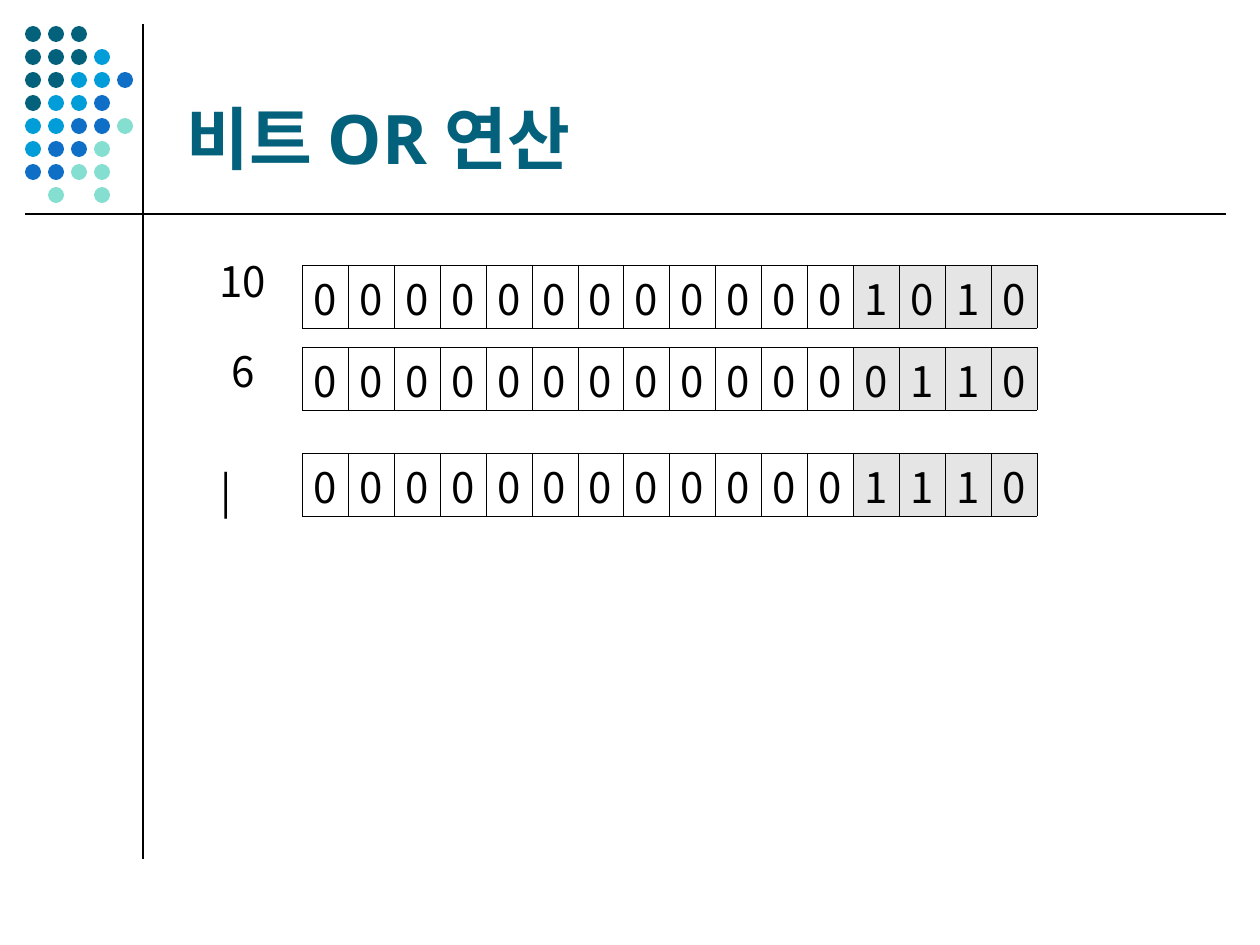
from dataclasses import dataclass

from lxml import etree
from pptx import Presentation
from pptx import util as u
from pptx.dml.color import RGBColor
from pptx.enum import shapes, text
from pptx.oxml import ns

PX_PER_INCH = 126
TEAL = RGBColor(0x04, 0x61, 0x7B)
SKY = RGBColor(0x00, 0x9D, 0xD9)
BLUE = RGBColor(0x0F, 0x6F, 0xC6)
MINT = RGBColor(0x85, 0xDF, 0xD0)
BLACK = RGBColor(0, 0, 0)
GRAY = RGBColor(0xE5, 0xE5, 0xE5)
LATIN_FONT = "Noto Sans"
KOREAN_FONT = "Noto Sans CJK KR"
DOT_COLORS = {"T": TEAL, "S": SKY, "B": BLUE, "M": MINT}
DOT_ROWS = ("TTT", "TTTS", "TTSSB", "TSSB", "SSBBM", "SBBM", "BBMM", " M M")
DOT_LEFT, DOT_TOP, DOT_PITCH, DOT_SIZE = 25, 26, 23, 16
TABLE_LEFT, TABLE_WIDTH, ROW_HEIGHT = 302, 735, 63
SHADED_BITS = 4


@dataclass(frozen=True)
class BitRow:
    label: str
    label_left: int
    label_top: int
    table_top: int
    bits: str


BIT_ROWS = (
    BitRow("10", 207, 249, 265, "0000000000001010"),
    BitRow("6", 219, 339, 347, "0000000000000110"),
    BitRow("|", 208, 459, 453, "0000000000001110"),
)


def px(length: int) -> int:
    return length * u.Inches(1) // PX_PER_INCH


def write_text(frame, words: str, *, size: int = 24, color: RGBColor = BLACK,
               font: str = KOREAN_FONT, bold: bool = False,
               align=text.PP_ALIGN.LEFT) -> None:
    para = frame.paragraphs[0]
    para.alignment = align
    span = para.add_run()
    span.text = words
    span.font.name = font
    span.font.size = u.Pt(size)
    span.font.bold = bold
    span.font.color.rgb = color
    east_asian = etree.SubElement(span.font._element, ns.qn("a:ea"))
    east_asian.set("typeface", KOREAN_FONT)


def draw_line(page, left: int, top: int, right: int, bottom: int) -> None:
    line = page.shapes.add_connector(
        shapes.MSO_CONNECTOR.STRAIGHT, px(left), px(top), px(right), px(bottom))
    line.line.color.rgb = BLACK
    line.line.width = u.Pt(0.75)
    etree.SubElement(line._element.spPr, ns.qn("a:effectLst"))


def draw_dots(page) -> None:
    for row, codes in enumerate(DOT_ROWS):
        for column, code in enumerate(codes):
            if code == " ":
                continue
            dot = page.shapes.add_shape(
                shapes.MSO_SHAPE.OVAL,
                px(DOT_LEFT + column * DOT_PITCH), px(DOT_TOP + row * DOT_PITCH),
                px(DOT_SIZE), px(DOT_SIZE))
            dot.shadow.inherit = False
            dot.fill.solid()
            dot.fill.fore_color.rgb = DOT_COLORS[code]
            dot.line.fill.background()


def draw_title(page, words: str) -> None:
    box = page.shapes.title
    box.left, box.top, box.width, box.height = map(px, (174, 26, 1040, 159))
    box.text_frame.vertical_anchor = text.MSO_ANCHOR.BOTTOM
    write_text(box.text_frame, words, size=39, color=TEAL,
               font=LATIN_FONT, bold=True)


def set_borders(cell) -> None:
    properties = cell._tc.get_or_add_tcPr()
    for index, side in enumerate(("lnL", "lnR", "lnT", "lnB")):
        border = etree.Element(ns.qn(f"a:{side}"), w=str(u.Pt(0.06)))
        fill = etree.SubElement(border, ns.qn("a:solidFill"))
        etree.SubElement(fill, ns.qn("a:srgbClr"), val=str(BLACK))
        properties.insert(index, border)


def draw_bits(page, row: BitRow) -> None:
    count = len(row.bits)
    table = page.shapes.add_table(
        1, count, px(TABLE_LEFT), px(row.table_top),
        px(TABLE_WIDTH), px(ROW_HEIGHT)).table
    table.first_row = False
    table.horz_banding = False
    for index, bit in enumerate(row.bits):
        cell = table.cell(0, index)
        cell.margin_left = cell.margin_right = cell.margin_bottom = 0
        cell.margin_top = px(2)
        cell.vertical_anchor = text.MSO_ANCHOR.MIDDLE
        if index >= count - SHADED_BITS:
            cell.fill.solid()
            cell.fill.fore_color.rgb = GRAY
        else:
            cell.fill.background()
        set_borders(cell)
        write_text(cell.text_frame, bit, align=text.PP_ALIGN.CENTER)


def draw_label(page, row: BitRow) -> None:
    box = page.shapes.add_textbox(
        px(row.label_left), px(row.label_top), px(90), px(ROW_HEIGHT))
    box.text_frame.word_wrap = True
    box.text_frame.vertical_anchor = text.MSO_ANCHOR.MIDDLE
    write_text(box.text_frame, row.label)


def main() -> None:
    deck = Presentation()
    deck.slide_width, deck.slide_height = px(1260), px(945)
    page = deck.slides.add_slide(deck.slide_layouts[5])
    draw_line(page, 143, 24, 143, 859)
    draw_dots(page)
    draw_line(page, 25, 214, 1226, 214)
    draw_title(page, "비트 OR 연산")
    for row in BIT_ROWS:
        draw_label(page, row)
        draw_bits(page, row)
    deck.save("out.pptx")


if __name__ == "__main__":
    main()
